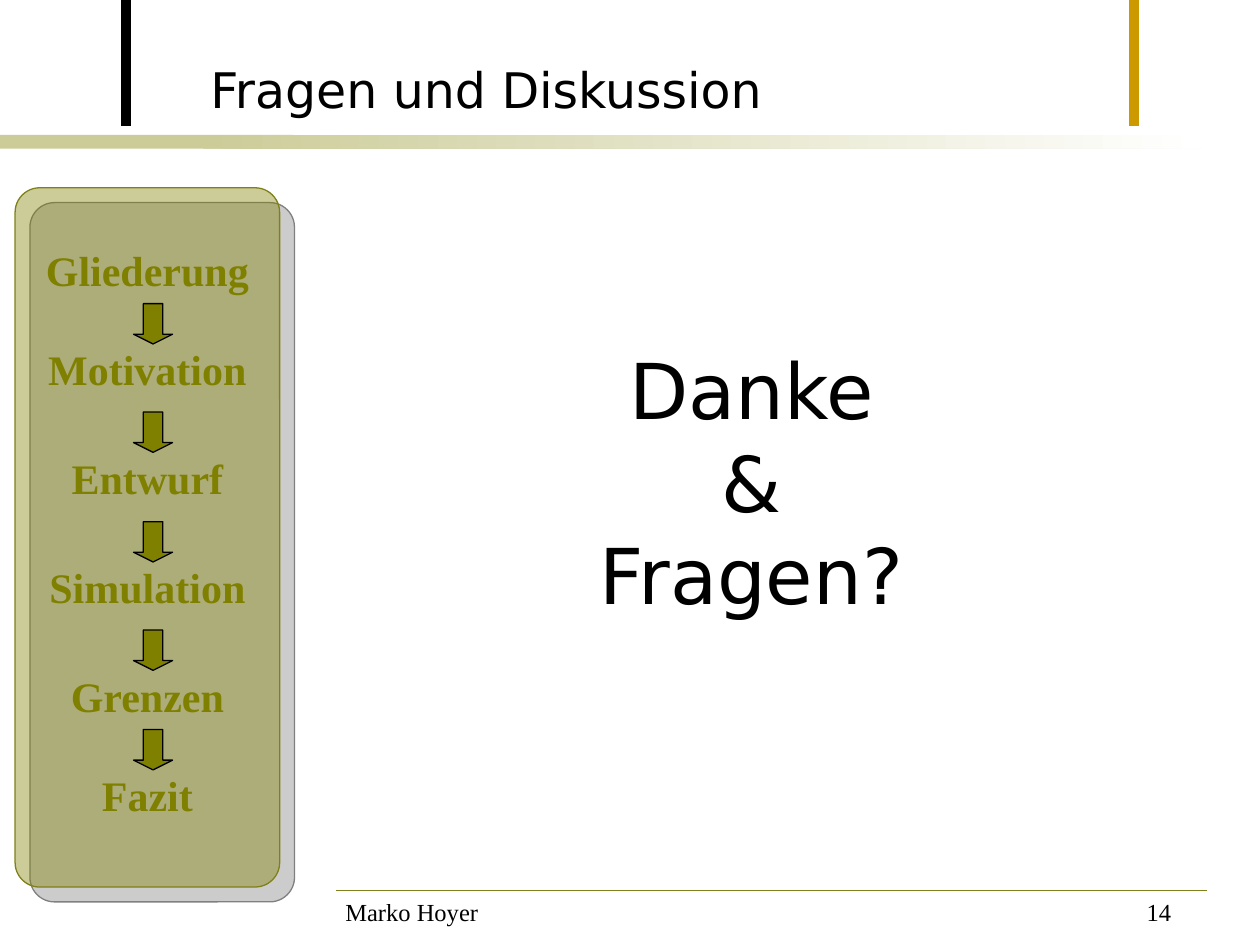
"""Build the closing slide with the outline panel and the questions prompt."""
from lxml import etree
from pptx import Presentation
from pptx.dml.color import RGBColor
from pptx.enum.shapes import MSO_CONNECTOR, MSO_SHAPE as SHAPE
from pptx.enum.text import MSO_ANCHOR, MSO_AUTO_SIZE as FIT, PP_ALIGN as ALIGN
from pptx.oxml import parse_xml
from pptx.oxml.ns import nsdecls, qn
from pptx.util import Inches, Pt

SERIF, SANS = "Times New Roman", "DejaVu Sans"
OLIVE, EDGE, SAND = "808000", "808019", "CCCC99"


def rgb(value):
    return RGBColor.from_string(value)


def write(s, lines, font, size, color="000000", bold=False, align=ALIGN.LEFT, wrap=True, fit=FIT.SHAPE_TO_FIT_TEXT):
    tf = s.text_frame
    tf.margin_left = tf.margin_top = tf.margin_right = tf.margin_bottom = 0
    tf.word_wrap, tf.auto_size = wrap, fit
    for i, line in enumerate(lines):
        p = tf.add_paragraph() if i else tf.paragraphs[0]
        p.alignment = align
        r = p.add_run()
        r.text = line
        r.font.name, r.font.size, r.font.bold = font, Pt(size), bold
        r.font.color.rgb = rgb(color)


prs = Presentation()
prs.slide_width, prs.slide_height = Inches(10), Inches(7.5)
slide = prs.slides.add_slide(prs.slide_layouts[5])
sp = slide.shapes

panel = sp.add_shape(SHAPE.ROUNDED_RECTANGLE, Inches(0.12), Inches(1.49), Inches(2.1), Inches(5.55))
panel.adjustments[0] = 0.093
panel.fill.solid()
panel.fill.fore_color.rgb = rgb(OLIVE)
panel.line.color.rgb, panel.line.width = rgb(EDGE), Pt(0.75)
fill = panel.fill._xPr.find(qn("a:solidFill"))
etree.SubElement(fill[0], qn("a:alpha"), val="40000")
panel._element.spPr.append(parse_xml(
    f'<a:effectLst {nsdecls("a")}><a:outerShdw dist="{Pt(12)}" dir="2700000" algn="tl" rotWithShape="0">'
    '<a:srgbClr val="808080"><a:alpha val="40000"/></a:srgbClr></a:outerShdw></a:effectLst>'))

for left, width, faded in [(0, 2.33, False), (1.61, 7.92, True)]:
    band = sp.add_shape(SHAPE.ROUNDED_RECTANGLE, Inches(left), Inches(1.07), Inches(width), Inches(0.11))
    band.adjustments[0] = 0.016
    band.shadow.inherit = False
    band.line.fill.background()
    if faded:
        band.fill.gradient()
        band.fill.gradient_angle = 0
        for stop, color in zip(band.fill.gradient_stops, (SAND, "FFFFFF")):
            stop.color.rgb = rgb(color)
    else:
        band.fill.solid()
        band.fill.fore_color.rgb = rgb(SAND)

brackets = [
    ("000000", [(1.1, 0.93), (0.94, 0.94), (0.94, 0.42), (1.11, 0.42)]),
    ("CC9900", [(9.07, 0.3), (9.24, 0.3), (9.24, 0.87), (9.09, 0.87)]),
]
for color, points in brackets:
    builder = sp.build_freeform(*points[0], scale=Inches(1))
    builder.add_line_segments(points[1:], close=False)
    bracket = builder.convert_to_shape()
    bracket.shadow.inherit = False
    bracket.fill.background()
    bracket.line.color.rgb, bracket.line.width = rgb(color), Pt(6)
    etree.SubElement(bracket.line._get_or_add_ln(), qn("a:round"))

for text, left, width, wrap in [("14", 9.1, 0.82, False), ("Marko Hoyer", 2.74, 1.19, True)]:
    s = sp.add_textbox(Inches(left), Inches(7.12), Inches(width), Inches(0.23))
    write(s, [text], SERIF, 14, wrap=wrap)

rule = sp.add_connector(MSO_CONNECTOR.STRAIGHT, Inches(2.67), Inches(7.07), Inches(9.58), Inches(7.07))
rule.line.color.rgb, rule.line.width = rgb(EDGE), Pt(0.75)
etree.SubElement(rule._element.spPr, qn("a:effectLst"))

title = sp.title
title.left, title.top, title.width, title.height = Inches(1.67), Inches(0.22), Inches(6.93), Inches(0.85)
write(title, ["Fragen und Diskussion"], SANS, 28, fit=FIT.NONE)
title.text_frame.vertical_anchor = MSO_ANCHOR.MIDDLE
title.text_frame.paragraphs[0].line_spacing = 1.25

s = sp.add_textbox(Inches(3.13), Inches(2.72), Inches(5.67), Inches(2.2))
write(s, ["Danke", "&", "Fragen?"], SANS, 44, align=ALIGN.CENTER)

steps = [("Gliederung", 1.94), ("Motivation", 2.73), ("Entwurf", 3.59),
         ("Simulation", 4.46), ("Grenzen", 5.32), ("Fazit", 6.11)]
for i, (name, top) in enumerate(steps):
    s = sp.add_textbox(Inches(0.35), Inches(top), Inches(1.64), Inches(0.4))
    write(s, [name], SERIF, 24, OLIVE, bold=True, align=ALIGN.CENTER)
    if i:
        arrow = sp.add_shape(SHAPE.DOWN_ARROW, Inches(1.06), Inches(top - 0.32), Inches(0.31), Inches(0.32))
        arrow.adjustments[1] = 0.25
        arrow.shadow.inherit = False
        arrow.fill.solid()
        arrow.fill.fore_color.rgb = rgb(OLIVE)
        arrow.line.color.rgb, arrow.line.width = rgb("000000"), Pt(0.75)

prs.save("out.pptx")
